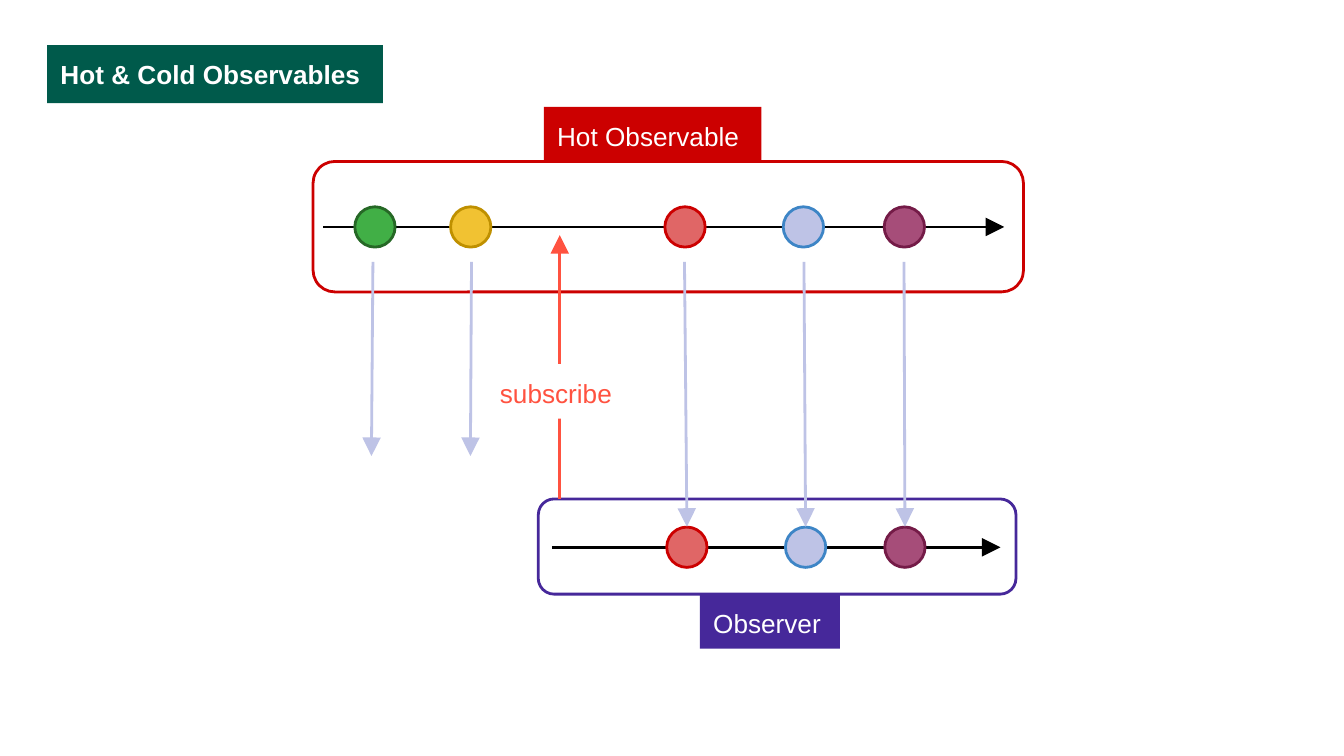
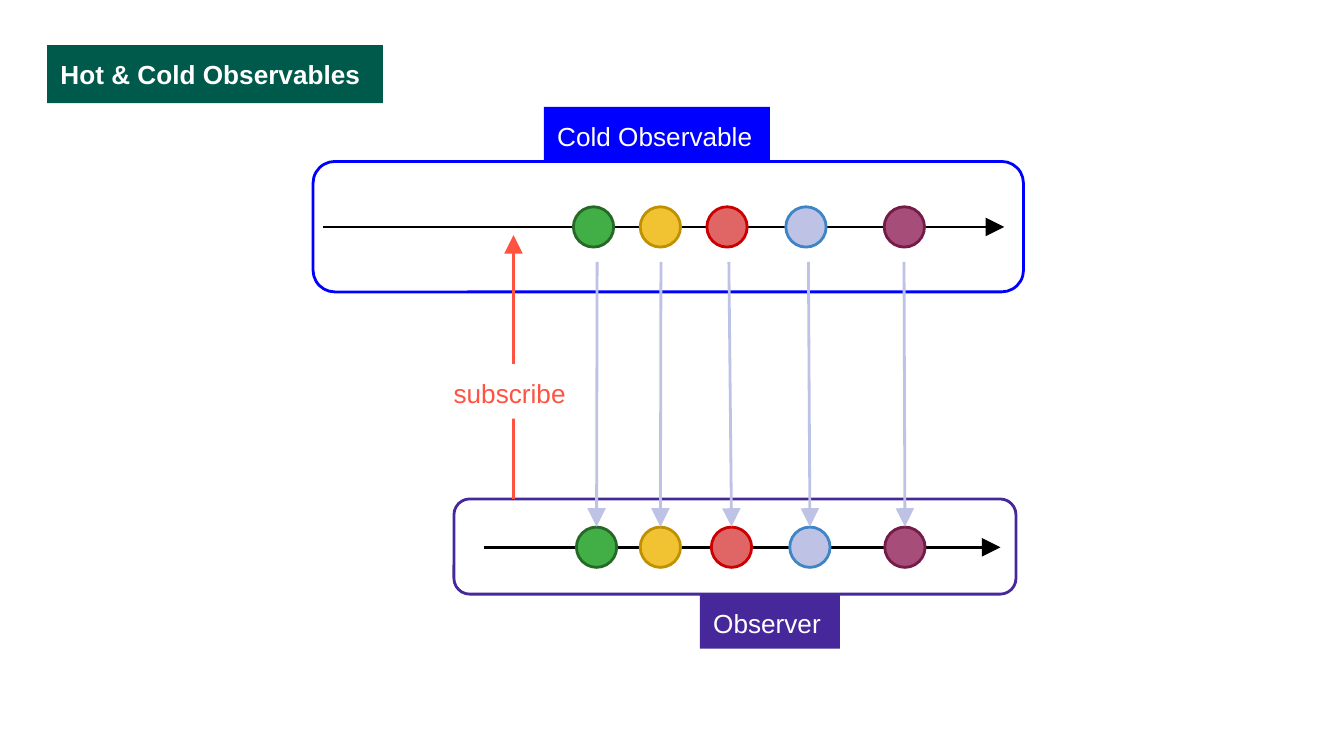
from collections import namedtuple

from pptx import Presentation
from pptx.dml.color import RGBColor
from pptx.enum.shapes import MSO_CONNECTOR, MSO_SHAPE
from pptx.enum.text import MSO_ANCHOR, MSO_AUTO_SIZE, PP_ALIGN
from pptx.oxml.ns import qn
from pptx.util import Pt
from lxml.etree import SubElement

COLORS = {
    "title": "005A4B", "white": "FFFFFF", "axis": "000000",
    "hot": "CC0000", "cold": "0000FF", "observer": "46289A",
    "subscribe": "FF5240", "emission": "BEC3E6",
    "green": "41AF46", "green_line": "266826",
    "yellow": "F1C232", "yellow_line": "BF9000",
    "red": "E06666", "red_line": "CC0000",
    "blue": "BEC3E6", "blue_line": "3D85C6",
    "plum": "A64D79", "plum_line": "741B47",
}
FONT = "Arial"
FONT_SIZE = 14
LINE_WIDTH = 1.5
INSET = 7.2
MARBLE_SIZE = 21.6
LABEL_HEIGHT = 29.2
SOURCE_HEIGHT = 69.9
OBSERVER_HEIGHT = 51

Box = namedtuple("Box", "left top width height")
# Horizontal places are measured from the left edge of the diagram
Emission = namedtuple("Emission", "color source start end received")
TITLE_BOX = Box(25.2, 24.2, 180, 31)
DIAGRAM_BOX = Box(167.7, 57.3, 380.6, 290.2)

DIAGRAMS = [
    {
        "kind": "hot", "label": "Hot Observable", "label_width": 116.5,
        "observer_left": 120.7, "observer_axis": 128, "subscribe": 132.2,
        "emissions": [
            Emission("green", 33.2, 32.1, 31.3, False),
            Emission("yellow", 84.5, 84.9, 84.3, False),
            Emission("red", 199.3, 199, 200.3, True),
            Emission("blue", 262.7, 263, 263.9, True),
            Emission("plum", 316.8, 316.6, 317.1, True),
        ],
    },
    {
        "kind": "cold", "label": "Cold Observable", "label_width": 121,
        "observer_left": 75.5, "observer_axis": 91.7, "subscribe": 107.4,
        "emissions": [
            Emission("green", 150.3, 152.2, 151.9, True),
            Emission("yellow", 186.1, 186.4, 186.1, True),
            Emission("red", 221.8, 222.8, 224.2, True),
            Emission("blue", 264.1, 265.4, 266.2, True),
            Emission("plum", 316.8, 316.6, 317.1, True),
        ],
    },
]


def color(name):
    return RGBColor.from_string(COLORS[name])


def write_text(shape, text, font_color, bold=False):
    frame = shape.text_frame
    frame.text = text
    frame.word_wrap = True
    frame.auto_size = MSO_AUTO_SIZE.NONE
    frame.vertical_anchor = MSO_ANCHOR.TOP
    frame.margin_left = frame.margin_right = Pt(INSET)
    frame.margin_top = frame.margin_bottom = Pt(INSET)
    paragraph = frame.paragraphs[0]
    paragraph.alignment = PP_ALIGN.LEFT
    paragraph.font.name = FONT
    paragraph.font.size = Pt(FONT_SIZE)
    paragraph.font.bold = bold
    paragraph.font.color.rgb = color(font_color)


def add_shape(slide, kind, box, fill=None, line=None):
    shape = slide.shapes.add_shape(kind, *map(Pt, box))
    shape.shadow.inherit = False
    if fill:
        shape.fill.solid()
        shape.fill.fore_color.rgb = color(fill)
    else:
        shape.fill.background()
    if line:
        shape.line.color.rgb = color(line)
        shape.line.width = Pt(LINE_WIDTH)
    else:
        shape.line.fill.background()
    return shape


def add_label(slide, box, text, fill, font_color="white"):
    shape = add_shape(slide, MSO_SHAPE.RECTANGLE, box, fill)
    write_text(shape, text, font_color)


def add_arrow(slide, start, end, line):
    connector = slide.shapes.add_connector(
        MSO_CONNECTOR.STRAIGHT, *map(Pt, (*start, *end)))
    connector.line.color.rgb = color(line)
    connector.line.width = Pt(LINE_WIDTH)
    outline = connector.line._get_or_add_ln()
    SubElement(outline, qn("a:tailEnd"), type="triangle", w="lg", len="lg")
    SubElement(connector._element.spPr, qn("a:effectLst"))


def add_title(slide, box):
    title = slide.shapes.title
    title.left, title.top, title.width, title.height = map(Pt, box)
    title.fill.solid()
    title.fill.fore_color.rgb = color("title")
    write_text(title, "Hot & Cold Observables", "white", bold=True)


def add_stream(slide, box, frame_color, axis_start, axis_end, axis_y, marbles):
    """Draw a framed time axis; marbles are (colour, centre) pairs."""
    add_shape(slide, MSO_SHAPE.ROUNDED_RECTANGLE, box, line=frame_color)
    y = box.top + axis_y
    add_arrow(slide, (box.left + axis_start, y),
              (box.left + box.width - axis_end, y), "axis")
    for name, center in marbles:
        marble = Box(box.left + center - MARBLE_SIZE / 2, y - MARBLE_SIZE / 2,
                     MARBLE_SIZE, MARBLE_SIZE)
        add_shape(slide, MSO_SHAPE.OVAL, marble, name, name + "_line")


def add_subscription(slide, x, top, bottom):
    add_arrow(slide, (x, bottom), (x, top), "subscribe")
    add_label(slide, Box(x - 39.2, top + 69.1, 78.5, LABEL_HEIGHT),
              "subscribe", "white", "subscribe")


def add_diagram(slide, box, diagram):
    emissions = diagram["emissions"]
    observer_left = diagram["observer_left"]
    observer_right = box.width - 4
    source = Box(box.left, box.top + LABEL_HEIGHT, box.width, SOURCE_HEIGHT)
    observer = Box(box.left + observer_left, box.top + 210,
                   observer_right - observer_left, OBSERVER_HEIGHT)

    # Source and observer streams
    add_stream(slide, observer, "observer",
               diagram["observer_axis"] - observer_left, 8.3, 25.9,
               [(e.color, e.end - observer_left) for e in emissions if e.received])
    add_stream(slide, source, diagram["kind"], 5.5, 10.3, 35.1,
               [(e.color, e.source) for e in emissions])

    # Name tags
    add_label(slide, Box(box.left + 123.7, box.top, diagram["label_width"],
                         LABEL_HEIGHT), diagram["label"], diagram["kind"])
    add_label(slide, Box(box.left + 207.3, observer.top + OBSERVER_HEIGHT, 75,
                         LABEL_HEIGHT), "Observer", "observer")

    # Subscription and emitted values
    add_subscription(slide, box.left + diagram["subscribe"],
                     box.top + 68.7, observer.top)
    for emission in emissions:
        end_y = 224.9 if emission.received else 187
        add_arrow(slide, (box.left + emission.start, box.top + 83),
                  (box.left + emission.end, box.top + end_y), "emission")


def main():
    presentation = Presentation()
    presentation.slide_width = Pt(720)
    presentation.slide_height = Pt(405)
    for diagram in DIAGRAMS:
        slide = presentation.slides.add_slide(presentation.slide_layouts[5])
        add_title(slide, TITLE_BOX)
        add_diagram(slide, DIAGRAM_BOX, diagram)
    presentation.save("out.pptx")


if __name__ == "__main__":
    main()
